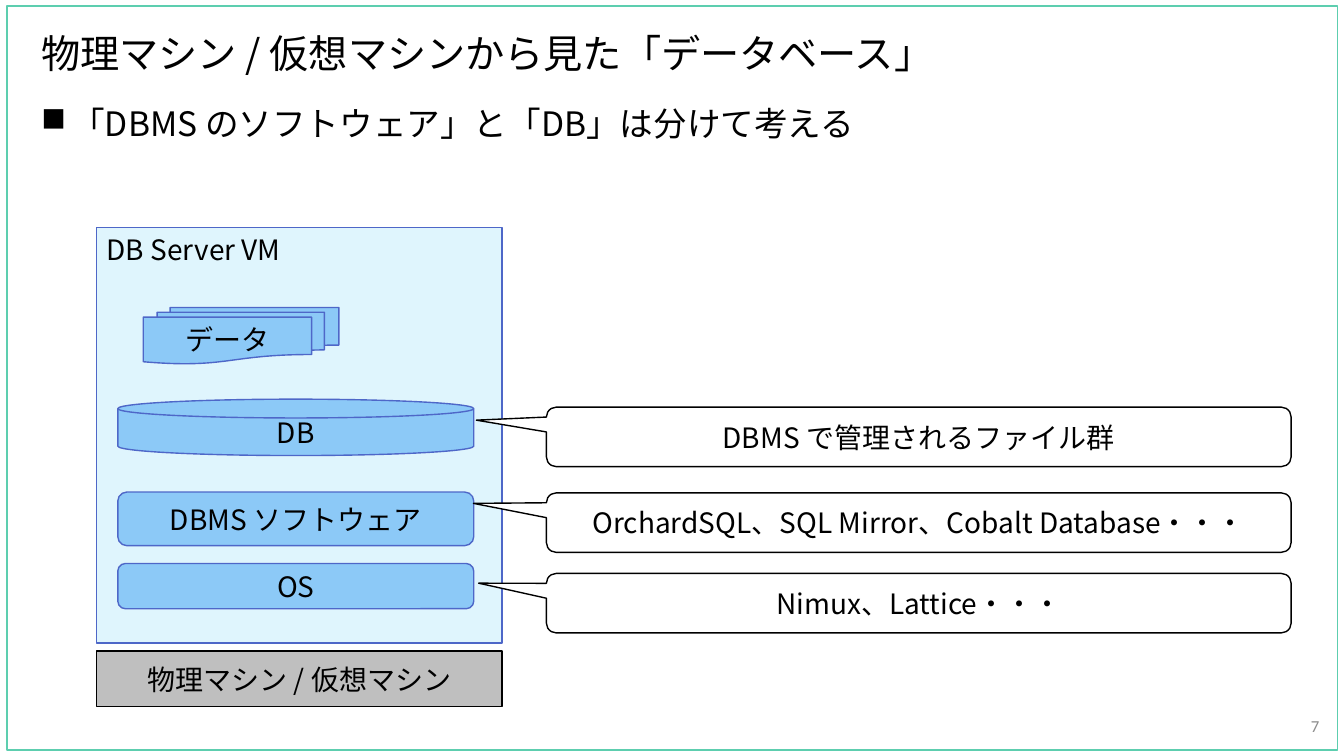
from lxml.etree import SubElement
from pptx import Presentation
from pptx.dml.color import RGBColor
from pptx.enum.shapes import MSO_SHAPE
from pptx.enum.text import MSO_ANCHOR, PP_ALIGN
from pptx.oxml.ns import qn
from pptx.util import Cm, Pt

JAPANESE = "Noto Sans CJK JP"
BLACK, WHITE = "000000", "FFFFFF"
BLUE_LINE, BLUE_FILL = "4E67C8", "8CC9F7"


def color(value):
    return RGBColor.from_string(value)


def write(shape, text, size=20, font=JAPANESE, ink=BLACK,
          align=PP_ALIGN.CENTER, anchor=MSO_ANCHOR.MIDDLE, spacing=None):
    frame = shape.text_frame
    frame.word_wrap = True
    frame.vertical_anchor = anchor
    para = frame.paragraphs[0]
    para.alignment = align
    para.line_spacing = spacing
    span = para.add_run()
    span.text = text
    span.font.size = Pt(size)
    span.font.name = font
    span.font.color.rgb = color(ink)
    # East Asian glyphs take their own typeface setting
    SubElement(span.font._element, qn("a:ea"), typeface=font)
    return para


def add_box(page, kind, box, fill, line):
    shape = page.shapes.add_shape(kind, *map(Cm, box))
    shape.shadow.inherit = False
    shape.fill.solid()
    shape.fill.fore_color.rgb = color(fill)
    shape.line.color.rgb = color(line)
    shape.line.width = Pt(1)
    return shape


def add_label(page, box, text, **style):
    return write(page.shapes.add_textbox(*map(Cm, box)), text, **style)


def add_frame(page, box):
    left, top, width, height = box
    add_box(page, MSO_SHAPE.RECTANGLE, box, WHITE, "5DCEAF")
    # Page number in the lower right corner
    add_label(page, (left + width - 1.91, top + height - 0.99, 1.7, 0.76), "7",
              size=12, font="Calibri", ink="8C8C8C", align=PP_ALIGN.RIGHT)


def add_heading(page, box):
    left, top, width, _ = box
    add_label(page, (left, top, width, 1.6),
              "物理マシン / 仮想マシンから見た「データベース」",
              size=28, align=PP_ALIGN.LEFT, spacing=0.9)
    # Bulleted message
    para = add_label(page, (left, top + 1.98, width, 2.92),
                     "「DBMS のソフトウェア」と「DB」は分けて考える", size=24,
                     align=PP_ALIGN.LEFT, anchor=MSO_ANCHOR.TOP, spacing=0.9)
    para.space_before = Pt(10)
    properties = para._p.get_or_add_pPr()
    properties.set("marL", str(Cm(0.76)))
    properties.set("indent", str(-Cm(0.76)))
    SubElement(properties, qn("a:buChar"), char="■")


def add_server(page, box):
    left, top, width, height = box
    server = add_box(page, MSO_SHAPE.RECTANGLE, box, "DFF5FD", BLUE_LINE)
    write(server, "DB Server VM", align=PP_ALIGN.LEFT, anchor=MSO_ANCHOR.TOP)

    # Layers inside the virtual machine: kind, offsets, size, text
    layers = [
        (MSO_SHAPE.FLOWCHART_MAGNETIC_DISK, 0.53, 4.32, 8.97, 1.42, "DB"),
        (MSO_SHAPE.ROUNDED_RECTANGLE, 0.53, 6.66, 8.97, 1.35, "DBMS ソフトウェア"),
        (MSO_SHAPE.ROUNDED_RECTANGLE, 0.53, 8.46, 8.97, 1.14, "OS"),
        (MSO_SHAPE.FLOWCHART_MULTIDOCUMENT, 1.17, 2.01, 4.93, 1.42, "データ"),
    ]
    for kind, across, down, layer_width, layer_height, text in layers:
        place = (left + across, top + down, layer_width, layer_height)
        write(add_box(page, kind, place, BLUE_FILL, BLUE_LINE), text)

    # Machine that carries the server
    machine = (left, top + height + 0.21, width, 1.4)
    write(add_box(page, MSO_SHAPE.RECTANGLE, machine, "BFBFBF", BLACK),
          "物理マシン / 仮想マシン")


def add_callouts(page, box):
    left, top, width, height = box
    # Offset, pointer tip and text of each callout
    callouts = [
        (4.19, -0.591, -0.336, "Nimux、Lattice・・・"),
        (2.16, -0.598, -0.323, "OrchardSQL、SQL Mirror、Cobalt Database・・・"),
        (0, -0.594, -0.281, "DBMS で管理されるファイル群"),
    ]
    for down, tip_x, tip_y, text in callouts:
        callout = add_box(page, MSO_SHAPE.ROUNDED_RECTANGULAR_CALLOUT,
                          (left, top + down, width, height), WHITE, BLACK)
        callout.adjustments[0] = tip_x
        callout.adjustments[1] = tip_y
        write(callout, text)


def main():
    deck = Presentation()
    deck.slide_width, deck.slide_height = Cm(33.87), Cm(19.05)
    page = deck.slides.add_slide(deck.slide_layouts[6])
    add_frame(page, (0.18, 0.15, 33.53, 18.75))
    add_heading(page, (0.79, 0.61, 32.18, 4.9))
    add_server(page, (2.44, 5.74, 10.21, 10.46))
    add_callouts(page, (13.77, 10.26, 18.77, 1.5))
    deck.save("out.pptx")


if __name__ == "__main__":
    main()
